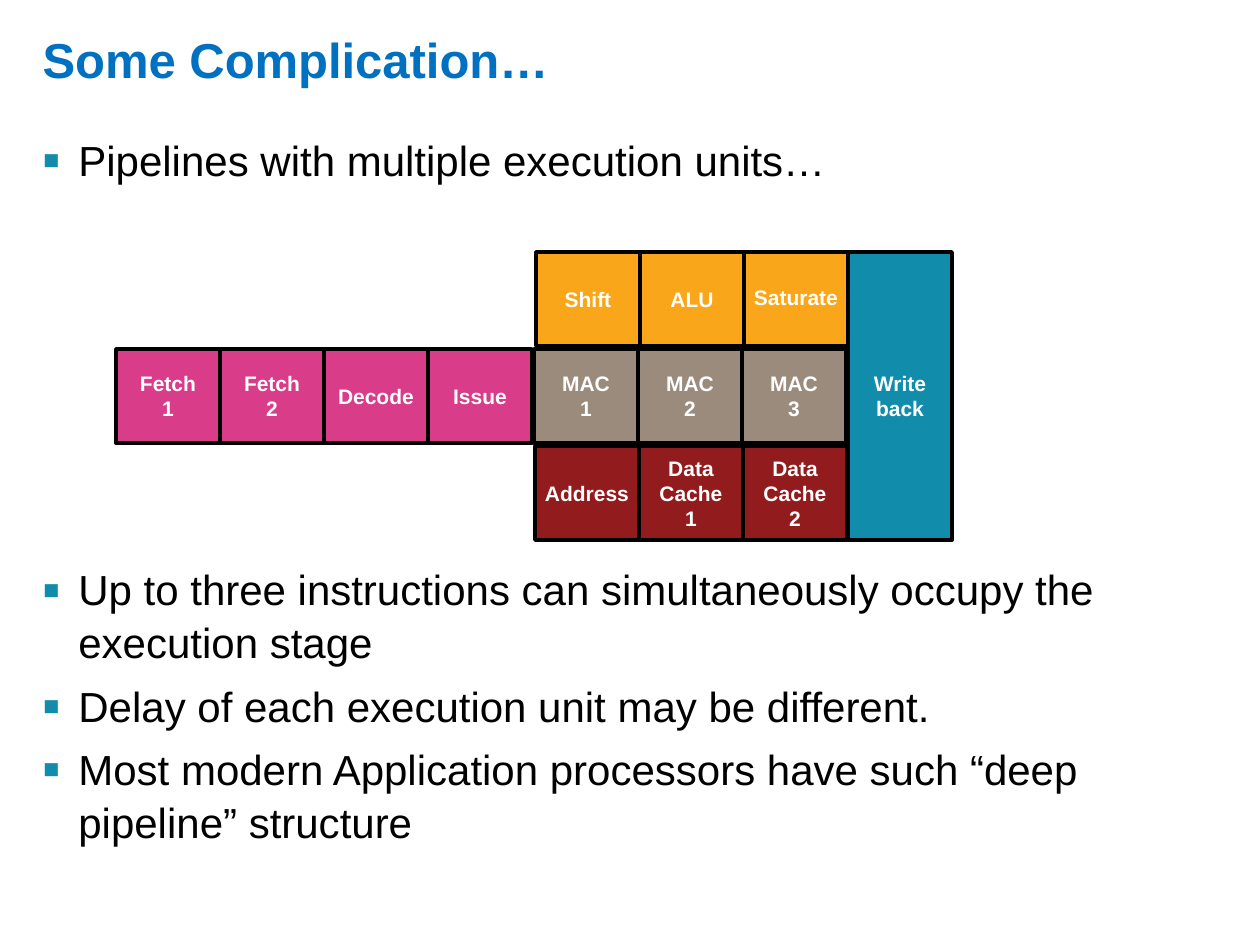
from lxml.etree import SubElement
from pptx import Presentation
from pptx.dml.color import RGBColor
from pptx.enum.shapes import MSO_SHAPE as Shape
from pptx.enum.text import MSO_ANCHOR as Anchor, MSO_AUTO_SIZE as AutoSize, PP_ALIGN as Align
from pptx.oxml.ns import qn
from pptx.util import Emu, Inches, Pt

PIXEL = Inches(1) / 126


def px(length):
    return Emu(round(length * PIXEL))


def color(hex_code):
    return RGBColor.from_string(hex_code)


def apply(target, values):
    for name, value in values.items():
        setattr(target, name, value)


class Deck:
    TITLE = {"size": Pt(28), "bold": True, "name": "Arial"}
    BODY = {"size": Pt(24), "bold": False, "name": "Arial"}
    STAGE = {"size": Pt(12), "bold": True, "name": "Arial"}

    def __init__(self):
        self.prs = Presentation()
        self.prs.slide_width, self.prs.slide_height = Inches(10), Inches(7.5)
        self.slide = self.prs.slides.add_slide(self.prs.slide_layouts[5])

    def add_text(self, paragraph, text, font, hex_code, **layout):
        run = paragraph.add_run()
        run.text = text
        apply(run.font, font)
        run.font.color.rgb = color(hex_code)
        apply(paragraph, layout)

    def title(self, text, left, top, width, height):
        heading = self.slide.shapes.title
        apply(heading, {"left": px(left), "top": px(top),
                        "width": px(width), "height": px(height)})
        apply(heading.text_frame, {"auto_size": AutoSize.NONE, "word_wrap": True,
                                   "vertical_anchor": Anchor.MIDDLE})
        self.add_text(heading.text_frame.paragraphs[0], text, self.TITLE, "0070C0",
                      alignment=Align.LEFT)

    def bullets(self, items, left, top, width, height):
        frame = self.slide.shapes.add_textbox(
            px(left), px(top), px(width), px(height)).text_frame
        frame.word_wrap = True
        for index, (text, gap) in enumerate(items):
            point = frame.paragraphs[0] if index == 0 else frame.add_paragraph()
            self.add_text(point, text, self.BODY, "000000",
                          space_before=Pt(gap), line_spacing=1.05)
            self.mark(point)

    def mark(self, paragraph):
        props = paragraph._p.get_or_add_pPr()
        props.set("marL", str(int(px(36))))
        props.set("indent", str(-int(px(36))))
        tint = SubElement(props, qn("a:buClr"))
        SubElement(tint, qn("a:srgbClr"), val="128CAB")
        SubElement(props, qn("a:buSzPct"), val="125000")
        SubElement(props, qn("a:buFont"), typeface="Arial")
        SubElement(props, qn("a:buChar"), char="▪")

    def stage(self, label, fill, left, top, width, height, spacing=1.0):
        box = self.slide.shapes.add_shape(
            Shape.RECTANGLE, px(left), px(top), px(width), px(height))
        box.shadow.inherit = False
        box.fill.solid()
        box.fill.fore_color.rgb = color(fill)
        box.line.color.rgb = color("000000")
        box.line.width = Pt(2)
        frame = box.text_frame
        apply(frame, {"word_wrap": False, "vertical_anchor": Anchor.MIDDLE})
        for index, line in enumerate(label.split("\n")):
            paragraph = frame.paragraphs[0] if index == 0 else frame.add_paragraph()
            self.add_text(paragraph, line, self.STAGE, "FFFFFF",
                          alignment=Align.CENTER, line_spacing=spacing)


deck = Deck()
deck.title("Some Complication…", 30, 1, 1210, 116)

# Bullet points, with a wide gap that leaves room for the pipeline
deck.bullets([
    ("Pipelines with multiple execution units…", 0),
    ("Up to three instructions can simultaneously occupy the execution stage", 215),
    ("Delay of each execution unit may be different.", 6),
    ("Most modern Application processors have such “deep pipeline” structure", 6),
], 30, 126, 1210, 755)

# Pipeline stages: rows of equal cells around the shared write-back stage
STAGE_W, STAGE_H, ROW_STEP, TOP = 104, 94, 97, 252
deck.stage("Write\nback", "128CAB", 848, TOP, STAGE_W, 2 * ROW_STEP + STAGE_H)
pipeline = [
    (1, 116, "D93D89", ["Fetch\n1", "Fetch\n2", "Decode", "Issue"]),
    (0, 536, "FAA61A", ["Shift", "ALU", "Saturate"]),
    (1, 534, "9A8B7C", ["MAC\n1", "MAC\n2", "MAC\n3"]),
    (2, 535, "911B1D", ["Address", "Data\nCache\n1", "Data\nCache\n2"]),
]
for row, left, fill, labels in pipeline:
    for column, label in enumerate(labels):
        deck.stage(label, fill, left + column * STAGE_W, TOP + row * ROW_STEP,
                   STAGE_W, STAGE_H, 0.9 if label == "Saturate" else 1.0)

deck.prs.save("out.pptx")
